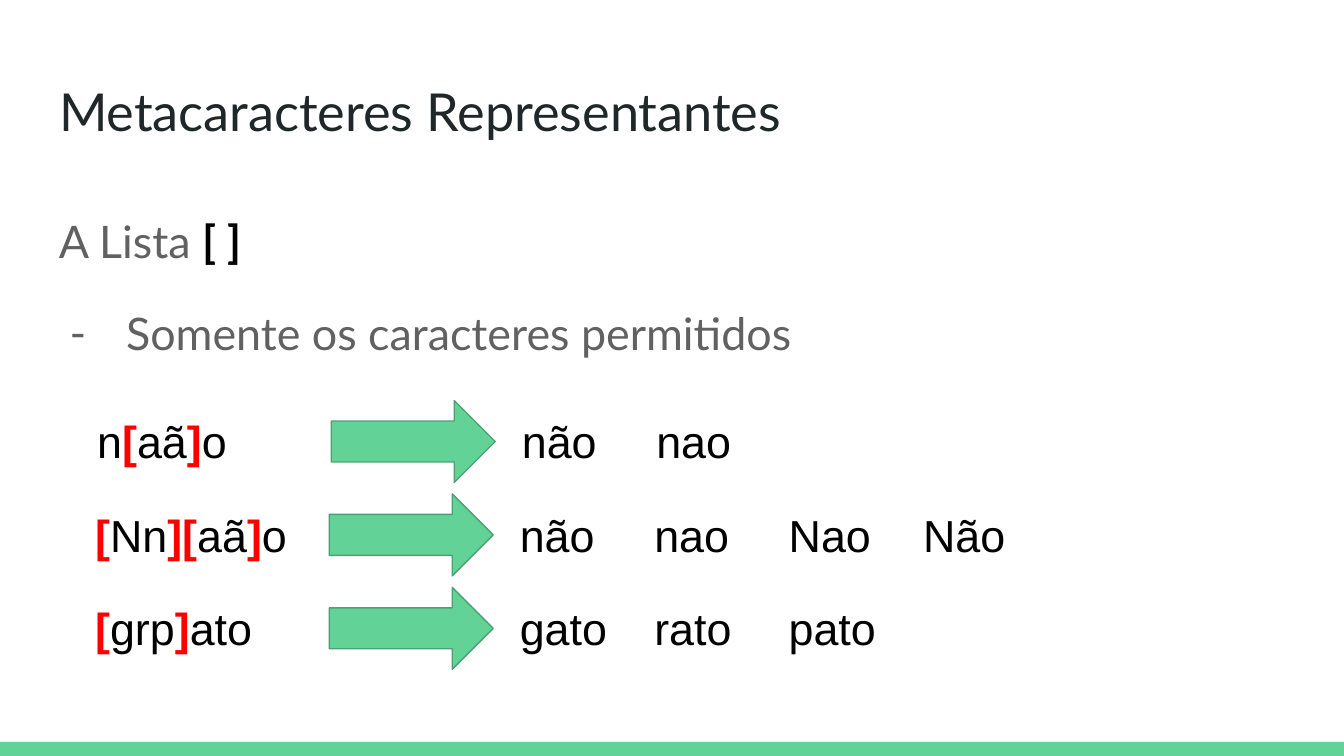
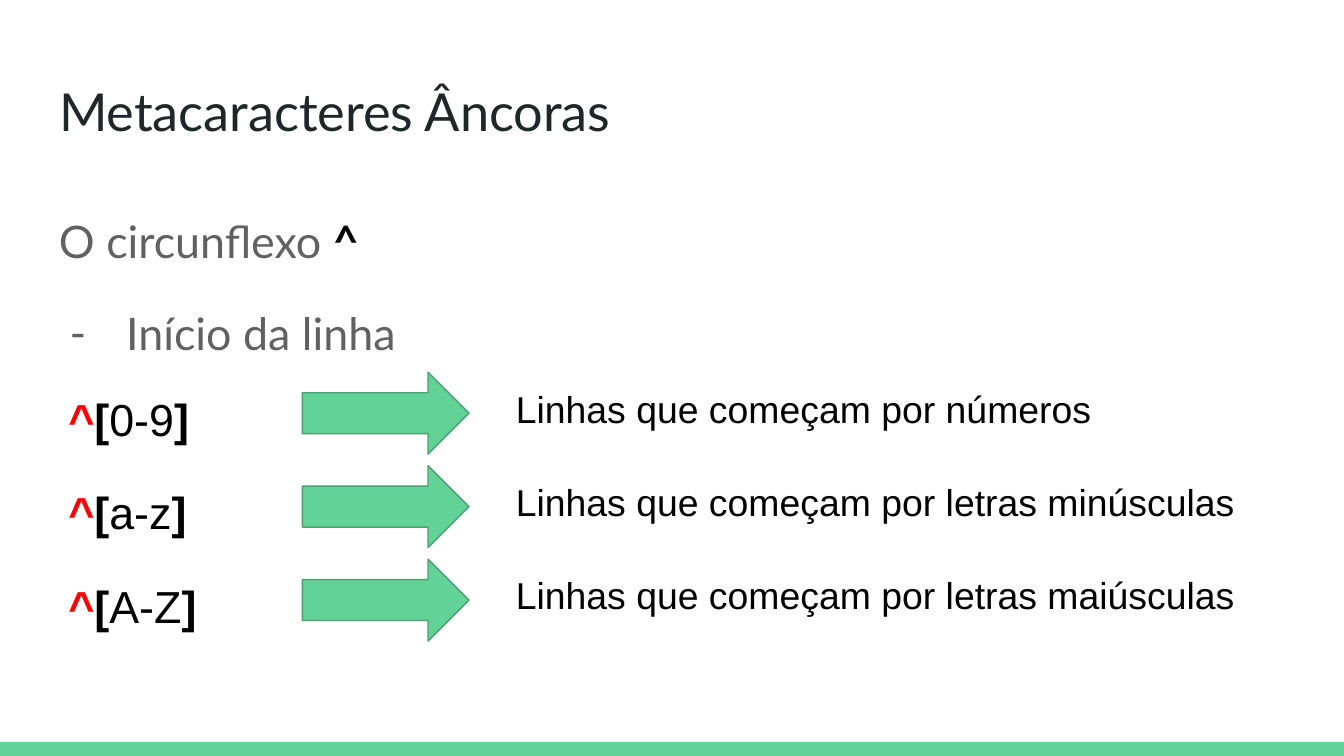
from dataclasses import dataclass
from itertools import groupby

from lxml.etree import SubElement
from pptx import Presentation
from pptx.dml.color import RGBColor
from pptx.enum.shapes import MSO_SHAPE
from pptx.enum.text import MSO_ANCHOR, MSO_AUTO_SIZE, PP_ALIGN
from pptx.oxml.ns import qn
from pptx.shapes.autoshape import Shape
from pptx.slide import Slide
from pptx.text.text import TextFrame, _Paragraph
from pptx.util import Inches, Pt

GREEN = RGBColor(0x63, 0xD2, 0x97)
DARK_GREEN = RGBColor(0x4B, 0xA1, 0x73)
INK = RGBColor(0x20, 0x27, 0x29)
GREY = RGBColor(0x61, 0x61, 0x61)
BLACK = RGBColor(0, 0, 0)
RED = RGBColor(0xFF, 0, 0)

HEADING_FONT, EXAMPLE_FONT = "Lato", "Arial"
WIDTH, HEIGHT = Inches(10), Inches(5.625)
ROW_PITCH = 12.36
ARROW_HEIGHT = 10.84
PATTERN_HEIGHT = 9.24


@dataclass(frozen=True)
class Area:
    """A rectangle in percent of the slide's width and height."""
    left: float
    top: float
    width: float
    height: float

    def place(self, shape: Shape) -> None:
        shape.left, shape.width = (int(WIDTH * share / 100) for share in (self.left, self.width))
        shape.top, shape.height = (int(HEIGHT * share / 100) for share in (self.top, self.height))


@dataclass(frozen=True)
class Example:
    pattern: str
    results: tuple[str, ...]
    pattern_width: float
    shift: float = 0


@dataclass(frozen=True)
class Topic:
    title: str
    name: str
    symbol: str
    meaning: str
    symbol_colors: dict[str, RGBColor]
    examples: tuple[Example, ...]
    first_row: float
    pattern_drop: float
    pattern_left: float
    arrow_left: float
    arrow_width: float
    result_left: float
    result_width: float
    result_size: int


TITLE_AREA = Area(3.4, 8.71, 93.2, 11.2)
BODY_AREA = Area(3.4, 25.42, 93.2, 63.29)
BAND_AREA = Area(0, 98.13, 100, 1.87)

TOPICS = (
    Topic(
        "Metacaracteres Representantes", "A Lista ", "[ ]", "Somente os caracteres permitidos",
        {"[": RED, "]": RED},
        (
            Example("n[aã]o", ("não", "nao"), 13.3, 0.15),
            Example("[Nn][aã]o", ("não", "nao", "Nao", "Não"), 17.5),
            Example("[grp]ato", ("gato", "rato", "pato"), 17.5),
        ),
        first_row=52.98, pattern_drop=0, pattern_left=6.1, arrow_left=24.5,
        arrow_width=12.2, result_left=37.7, result_width=61.7, result_size=24,
    ),
    Topic(
        "Metacaracteres Âncoras", "O circunflexo ", "^", "Início da linha",
        {"^": RED, "[": BLACK, "]": BLACK},
        (
            Example("^[0-9]", ("Linhas que começam por números",), 18.5),
            Example("^[a-z]", ("Linhas que começam por letras minúsculas",), 18.5),
            Example("^[A-Z]", ("Linhas que começam por letras maiúsculas",), 18.5),
        ),
        first_row=49.24, pattern_drop=0.8, pattern_left=4.1, arrow_left=22.5,
        arrow_width=12.4, result_left=37.4, result_width=58.6, result_size=20,
    ),
)


def set_frame(frame: TextFrame) -> None:
    frame.word_wrap = True
    frame.auto_size = MSO_AUTO_SIZE.NONE
    frame.vertical_anchor = MSO_ANCHOR.TOP
    frame.margin_left = frame.margin_right = Inches(0.1)
    frame.margin_top = frame.margin_bottom = Inches(0.1)


def set_font(para: _Paragraph, name: str, size: int, color: RGBColor) -> None:
    para.font.name = name
    para.font.size = Pt(size)
    para.font.color.rgb = color


def add_span(para: _Paragraph, text: str, color: RGBColor | None = None) -> None:
    """Add a run; a given colour also makes it bold."""
    span = para.add_run()
    span.text = text
    if color is not None:
        span.font.bold = True
        span.font.color.rgb = color


def add_text_box(slide: Slide, area: Area) -> TextFrame:
    box = slide.shapes.add_textbox(0, 0, 0, 0)
    area.place(box)
    set_frame(box.text_frame)
    return box.text_frame


def add_green_shape(slide: Slide, kind: MSO_SHAPE, area: Area) -> Shape:
    shape = slide.shapes.add_shape(kind, 0, 0, 0, 0)
    area.place(shape)
    shape.shadow.inherit = False
    shape.fill.solid()
    shape.fill.fore_color.rgb = GREEN
    shape.line.fill.background()
    return shape


def add_dash(para: _Paragraph) -> None:
    properties = para._p.get_or_add_pPr()
    properties.set("marL", str(Inches(0.5)))
    properties.set("indent", str(Inches(-0.42)))
    color = SubElement(properties, qn("a:buClr"))
    SubElement(color, qn("a:srgbClr"), val=str(GREY))
    SubElement(properties, qn("a:buFont"), typeface=HEADING_FONT)
    SubElement(properties, qn("a:buChar"), char="-")


def add_tab_stops(para: _Paragraph, count: int) -> None:
    """Set one tab stop per inch."""
    stops = SubElement(para._p.get_or_add_pPr(), qn("a:tabLst"))
    for inch in range(1, count + 1):
        SubElement(stops, qn("a:tab"), pos=str(Inches(inch)), algn="l")


def add_title(slide: Slide, text: str) -> None:
    title = slide.shapes.title
    TITLE_AREA.place(title)
    set_frame(title.text_frame)
    title.text_frame.text = text
    para = title.text_frame.paragraphs[0]
    para.alignment = PP_ALIGN.LEFT
    set_font(para, HEADING_FONT, 28, INK)


def add_body(slide: Slide, topic: Topic) -> None:
    frame = add_text_box(slide, BODY_AREA)
    heading, meaning = frame.paragraphs[0], frame.add_paragraph()
    add_dash(meaning)
    add_span(heading, topic.name)
    add_span(heading, topic.symbol, BLACK)
    add_span(meaning, topic.meaning)
    for para in (heading, meaning):
        para.line_spacing = 1.15
        para.space_after = Pt(16)
        set_font(para, HEADING_FONT, 24, GREY)


def add_example(slide: Slide, topic: Topic, example: Example, top: float) -> None:
    pattern_area = Area(topic.pattern_left + example.shift, top + topic.pattern_drop,
                        example.pattern_width, PATTERN_HEIGHT)
    pattern = add_text_box(slide, pattern_area).paragraphs[0]
    for color, letters in groupby(example.pattern, topic.symbol_colors.get):
        add_span(pattern, "".join(letters), color)
    set_font(pattern, EXAMPLE_FONT, 24, BLACK)

    arrow_area = Area(topic.arrow_left + example.shift, top, topic.arrow_width, ARROW_HEIGHT)
    arrow = add_green_shape(slide, MSO_SHAPE.RIGHT_ARROW, arrow_area)
    arrow.line.color.rgb = DARK_GREEN
    arrow.line.width = Pt(0.75)

    result_area = Area(topic.result_left + example.shift, top, topic.result_width, ARROW_HEIGHT)
    result = add_text_box(slide, result_area).paragraphs[0]
    if len(example.results) > 1:
        add_tab_stops(result, len(example.results) - 1)
    add_span(result, "\t".join(example.results))
    set_font(result, EXAMPLE_FONT, topic.result_size, BLACK)


def main() -> None:
    deck = Presentation()
    deck.slide_width, deck.slide_height = WIDTH, HEIGHT
    title_only = deck.slide_layouts.get_by_name("Title Only")
    for topic in TOPICS:
        page = deck.slides.add_slide(title_only)
        add_green_shape(page, MSO_SHAPE.RECTANGLE, BAND_AREA)
        add_title(page, topic.title)
        add_body(page, topic)
        for row, example in enumerate(topic.examples):
            add_example(page, topic, example, topic.first_row + row * ROW_PITCH)
    deck.save("out.pptx")


if __name__ == "__main__":
    main()
